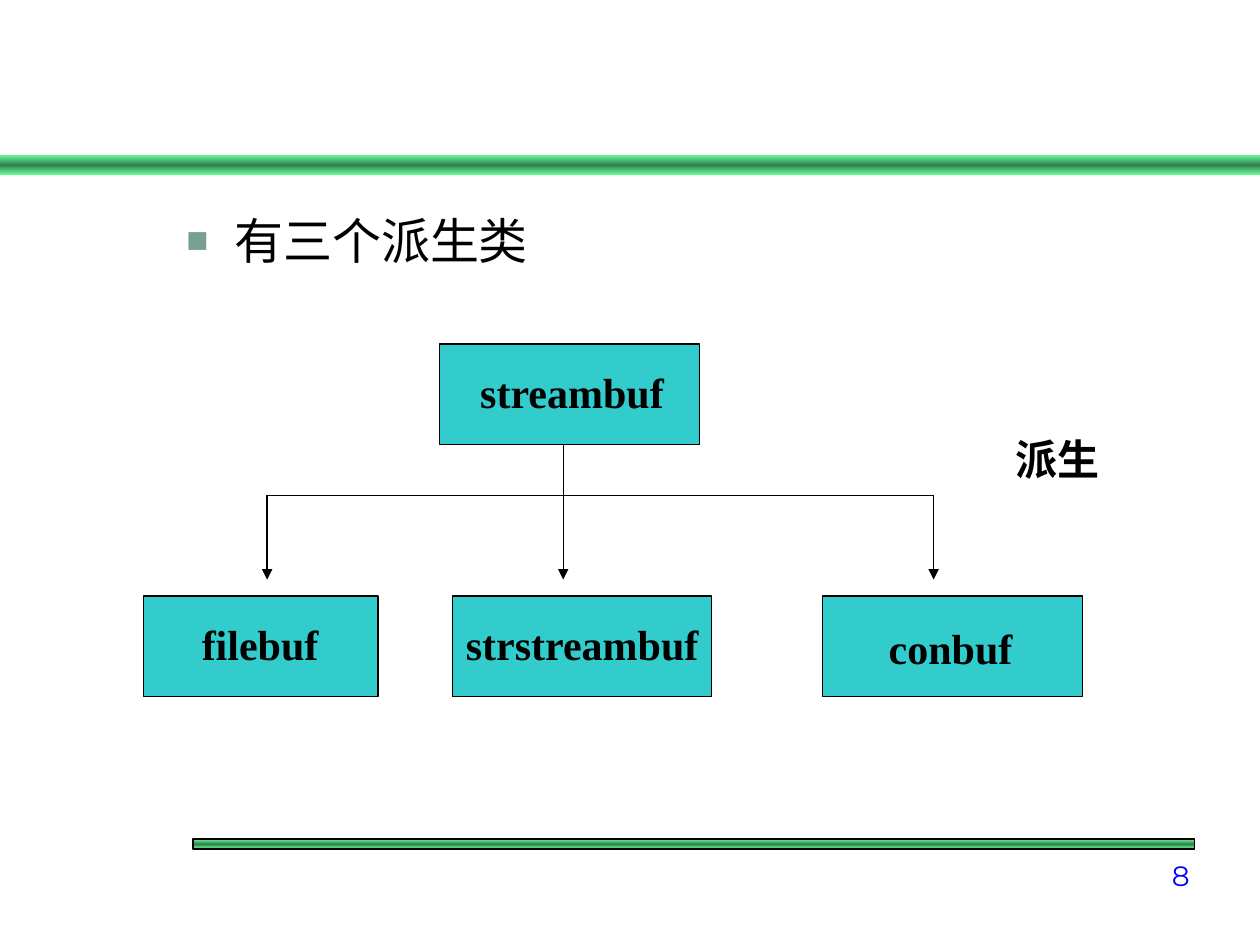
from copy import deepcopy
from typing import NamedTuple

from lxml.etree import SubElement
from pptx import Presentation
from pptx.dml.color import RGBColor
from pptx.enum.shapes import MSO_CONNECTOR, MSO_SHAPE
from pptx.enum.text import MSO_ANCHOR, PP_ALIGN
from pptx.oxml.ns import qn
from pptx.util import Inches, Pt

COLORS = {
    "bar_edge": "66FF99",
    "bar_middle": "337F4C",
    "class_fill": "33CCCC",
    "bullet": "779F92",
    "ink": "000000",
    "page_number": "0000FF",
}
LABEL_FORMAT = {"name": "Times New Roman", "size": Pt(24), "bold": True}
LIST_FORMAT = {"name": "Times New Roman", "size": Pt(28)}
NUMBER_FORMAT = {"name": "Montserrat", "size": Pt(16)}


class Area(NamedTuple):
    left: float
    top: float
    width: float
    height: float

    def lengths(self) -> list:
        return [Inches(value) for value in self]


class ClassBox(NamedTuple):
    name: str
    area: Area
    label: Area


class Line(NamedTuple):
    start: tuple
    end: tuple
    arrow: bool = True


BOX_HEIGHT, CHILD_TOP = 0.8, 4.73
BRANCH_TOP, ARROW_END = 3.93, 4.6
LEFT_BRANCH, TRUNK, RIGHT_BRANCH = 2.12, 4.47, 7.41

CLASSES = [
    ClassBox("streambuf", Area(3.49, 2.73, 2.06, BOX_HEIGHT), Area(3.69, 2.86, 1.7, 0.5)),
    ClassBox("filebuf", Area(1.14, CHILD_TOP, 1.86, BOX_HEIGHT), Area(1.43, 4.86, 1.27, 0.5)),
    ClassBox("strstreambuf", Area(3.59, CHILD_TOP, 2.06, BOX_HEIGHT), Area(3.59, 4.86, 2.06, 0.5)),
    ClassBox("conbuf", Area(6.53, CHILD_TOP, 2.06, BOX_HEIGHT), Area(6.81, 4.89, 1.47, 0.5)),
]
LINES = [
    Line((LEFT_BRANCH, BRANCH_TOP), (RIGHT_BRANCH, BRANCH_TOP), arrow=False),
    Line((TRUNK, 3.53), (TRUNK, ARROW_END)),
    Line((RIGHT_BRANCH, BRANCH_TOP), (RIGHT_BRANCH, ARROW_END)),
    Line((LEFT_BRANCH, BRANCH_TOP), (LEFT_BRANCH, ARROW_END)),
]


def color(name: str) -> RGBColor:
    return RGBColor.from_string(COLORS[name])


def add_rectangle(page, area: Area, line_width: float):
    box = page.shapes.add_shape(MSO_SHAPE.RECTANGLE, *area.lengths())
    box.shadow.inherit = False
    if line_width:
        box.line.color.rgb = color("ink")
        box.line.width = Pt(line_width)
    else:
        box.line.fill.background()
    return box


def add_bar(page, area: Area, line_width: float = 0) -> None:
    bar = add_rectangle(page, area, line_width)
    bar.fill.gradient()
    bar.fill.gradient_angle = 90
    stop_list = bar._element.spPr.find(qn("a:gradFill")).find(qn("a:gsLst"))
    stop_list.append(deepcopy(stop_list[0]))
    names = ("bar_edge", "bar_middle", "bar_edge")
    for index, (stop, name) in enumerate(zip(bar.fill.gradient_stops, names)):
        stop.position = index / 2
        stop.color.rgb = color(name)


def write(para, text: str, formats: dict, ink: str = "ink") -> None:
    span = para.add_run()
    span.text = text
    for key, value in formats.items():
        setattr(span.font, key, value)
    span.font.color.rgb = color(ink)


def add_text(page, text: str, area: Area, formats: dict, ink: str = "ink",
             align=PP_ALIGN.CENTER, anchor=MSO_ANCHOR.TOP) -> None:
    frame = page.shapes.add_textbox(*area.lengths()).text_frame
    frame.word_wrap = True
    frame.vertical_anchor = anchor
    frame.paragraphs[0].alignment = align
    write(frame.paragraphs[0], text, formats, ink)


def add_line(page, line: Line) -> None:
    points = [Inches(value) for value in line.start + line.end]
    connector = page.shapes.add_connector(MSO_CONNECTOR.STRAIGHT, *points)
    connector.line.color.rgb = color("ink")
    connector.line.width = Pt(0.75)
    properties = connector._element.spPr
    if line.arrow:
        SubElement(properties.find(qn("a:ln")), qn("a:tailEnd"), type="triangle")
    SubElement(properties, qn("a:effectLst"))


def fill_list(body, text: str, area: Area) -> None:
    body.left, body.top, body.width, body.height = area.lengths()
    para = body.text_frame.paragraphs[0]
    properties = para._p.get_or_add_pPr()
    properties.set("marL", str(Inches(0.38)))
    properties.set("indent", str(Inches(-0.38)))
    bullet_color = SubElement(properties, qn("a:buClr"))
    SubElement(bullet_color, qn("a:srgbClr"), val=COLORS["bullet"])
    SubElement(properties, qn("a:buSzPct"), val="75000")
    SubElement(properties, qn("a:buChar"), char="■")
    para.space_before = Pt(0)
    write(para, text, LIST_FORMAT)


def main() -> None:
    deck = Presentation()
    deck.slide_width, deck.slide_height = Inches(10), Inches(7.5)
    page = deck.slides.add_slide(deck.slide_layouts[1])

    # The slide has no title
    title = page.shapes.title._element
    title.getparent().remove(title)

    # Bars and page number
    add_bar(page, Area(0, 1.23, 10, 0.16))
    add_bar(page, Area(1.53, 6.66, 7.95, 0.08), line_width=1)
    add_text(page, "8", Area(8.75, 6.74, 0.79, 0.39), NUMBER_FORMAT,
             "page_number", PP_ALIGN.RIGHT, MSO_ANCHOR.BOTTOM)

    # List
    fill_list(page.placeholders[1], "有三个派生类", Area(1.38, 1.62, 8.12, 4.8))

    # Class tree
    for item in CLASSES:
        box = add_rectangle(page, item.area, 0.75)
        box.fill.solid()
        box.fill.fore_color.rgb = color("class_fill")
        add_text(page, item.name, item.label, LABEL_FORMAT)
    for line in LINES:
        add_line(page, line)
    add_text(page, "派生", Area(7.8, 3.39, 1.18, 0.5), LABEL_FORMAT)

    deck.save("out.pptx")


if __name__ == "__main__":
    main()
